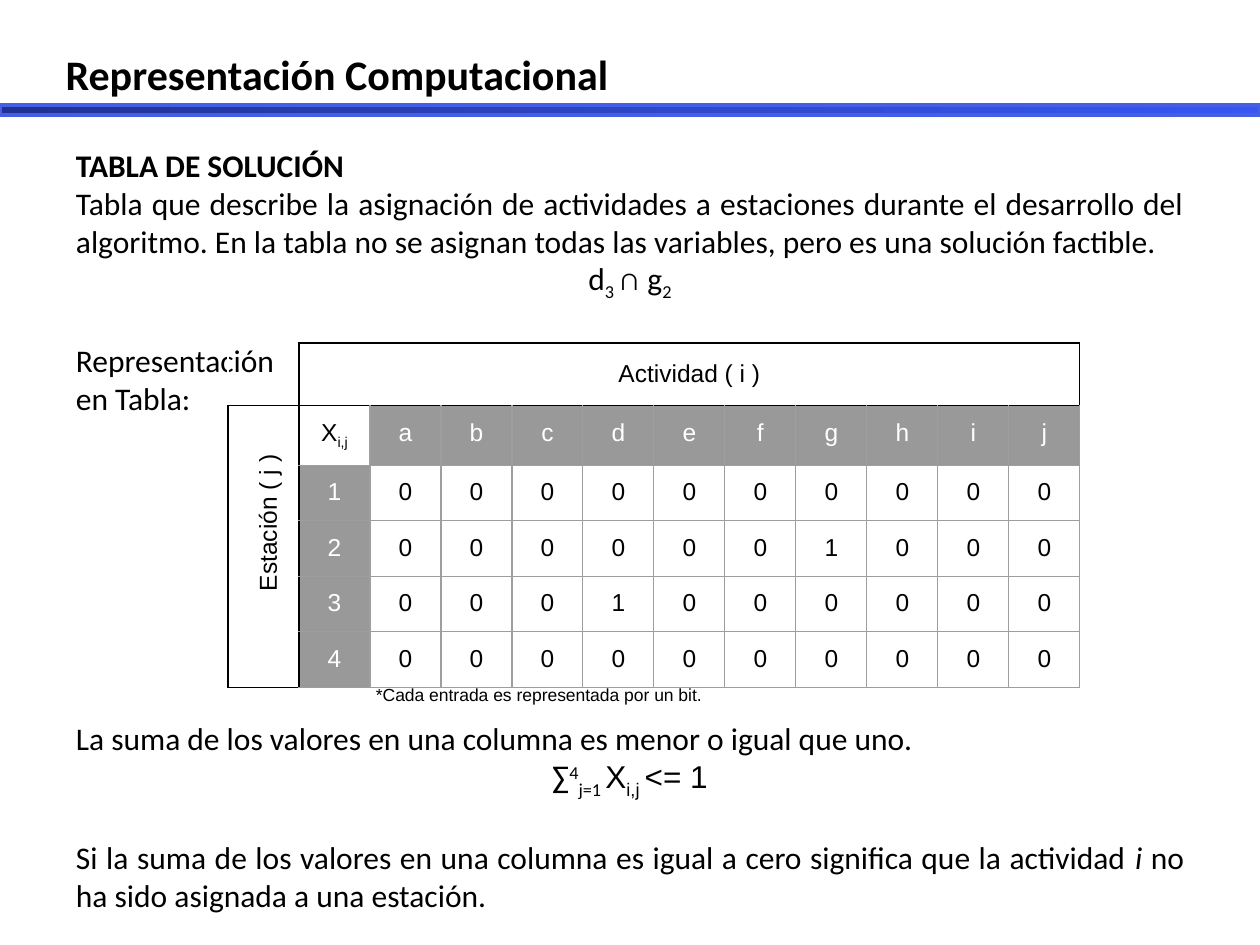
from copy import deepcopy

from lxml.etree import SubElement
from pptx import Presentation
from pptx.dml.color import RGBColor
from pptx.enum.shapes import MSO_SHAPE as Shape
from pptx.enum.text import MSO_ANCHOR as Anchor, MSO_AUTO_SIZE as AutoSize, PP_ALIGN as Align
from pptx.oxml.ns import qn
from pptx.util import Pt

PX = 7257
BLACK, WHITE, GRAY, GRID = "000000", "FFFFFF", "999999", "9E9E9E"
color = RGBColor.from_string


def write(paragraph, text, size=18, font="Calibri", fill=BLACK, bold=False, italic=False, baseline=0, align=Align.LEFT):
    paragraph.alignment = align
    run = paragraph.add_run()
    run.text = text
    run.font.size = Pt(size)
    run.font.name = font
    run.font.bold = bold
    run.font.italic = italic
    run.font.color.rgb = color(fill)
    if baseline:
        run.font._element.set("baseline", str(baseline * 1000))


def add_box(left, top, width, height, margin):
    box = slide.shapes.add_textbox(left * PX, top * PX, width * PX, height * PX)
    frame = box.text_frame
    frame.word_wrap = True
    frame.margin_left = frame.margin_right = 13 * PX
    frame.margin_top = frame.margin_bottom = margin * PX
    return box


presentation = Presentation()
presentation.slide_width = 1260 * PX
presentation.slide_height = 945 * PX
slide = presentation.slides.add_slide(presentation.slide_layouts[5])

title = slide.shapes.title
title.left, title.top, title.width, title.height = 53 * PX, 42 * PX, 1124 * PX, 63 * PX
title.text_frame.auto_size = AutoSize.NONE
title.text_frame.vertical_anchor = Anchor.TOP
write(title.text_frame.paragraphs[0], "Representación Computacional", size=24, bold=True, align=Align.JUSTIFY)

body = [
    (Align.JUSTIFY, 0, [("TABLA DE SOLUCIÓN", {"bold": True})]),
    (Align.JUSTIFY, 0, [(
        "Tabla que describe la asignación de actividades a estaciones durante el desarrollo del algoritmo. "
        "En la tabla no se asignan todas las variables, pero es una solución factible.", {})]),
    (Align.CENTER, 0, [("d", {}), ("3 ", {"baseline": -25}), ("∩ g", {}), ("2", {"baseline": -25})]),
    (Align.JUSTIFY, 22, [("Representación", {})]),
    (Align.JUSTIFY, 0, [("en Tabla:", {})]),
    (Align.JUSTIFY, 173, [("La suma de los valores en una columna es menor o igual que uno.", {})]),
    (Align.CENTER, 0, [
        ("∑", {}), ("4", {"baseline": 30}), ("j=1 ", {"baseline": -25}), ("X", {"font": "Arial"}),
        ("i,j ", {"font": "Arial", "baseline": -25}), ("<= 1", {"font": "Arial"})]),
    (Align.JUSTIFY, 22, [
        ("Si la suma de los valores en una columna es igual a cero significa que la actividad ", {}),
        ("i", {"italic": True}), (" no ha sido asignada a una estación.", {})]),
]
body_frame = add_box(63, 140, 1134, 740, 6).text_frame
for index, (align, gap, runs) in enumerate(body):
    paragraph = body_frame.add_paragraph() if index else body_frame.paragraphs[0]
    paragraph.space_before = Pt(gap)
    for text, style in runs:
        write(paragraph, text, align=align, **style)

bar = slide.shapes.add_shape(Shape.RECTANGLE, 0, 105 * PX, 1260 * PX, 10 * PX)
bar.shadow.inherit = False
bar.fill.gradient()
bar.fill.gradient_angle = 0
last_stop = bar.fill.gradient_stops[1]._gs
last_stop.addprevious(deepcopy(last_stop))
for stop, (position, shade) in zip(bar.fill.gradient_stops, [(0, "1F3291"), (0.54, "2D48CA"), (1, "3756F2")]):
    stop.position = position
    stop.color.rgb = color(shade)
bar.line.color.rgb = color("445FE6")
bar.line.width = Pt(2)

activities = "abcdefghij"
assigned = {("g", 2), ("d", 3)}
rows, columns = 6, len(activities) + 2
table = slide.shapes.add_table(rows, columns, 228 * PX, 343 * PX, columns * 71 * PX, 323 * PX).table
table.first_row = table.horz_banding = False
for column in table.columns:
    column.width = 71 * PX
for row, height in zip(table.rows, [63] + [52] * 5):
    row.height = height * PX
table.cell(0, 1).merge(table.cell(0, columns - 1))
table.cell(1, 0).merge(table.cell(rows - 1, 0))

for row in range(rows):
    for column in range(columns):
        cell = table.cell(row, column)
        outer = row == 0 or column == 0
        corner = row == column == 0
        header = not outer and (row == 1) != (column == 1)
        properties = cell._tc.get_or_add_tcPr()
        for side in ("R", "B") if corner else ("L", "R", "T", "B"):
            dark = outer or (side == "L" and column == 1) or (side == "T" and row == 1)
            line = SubElement(properties, qn(f"a:ln{side}"), w="9525")
            solid = SubElement(line, qn("a:solidFill"))
            SubElement(solid, qn("a:srgbClr"), val=BLACK if dark else GRID)
        if corner:
            cell.fill.background()
        else:
            cell.fill.solid()
            cell.fill.fore_color.rgb = color(GRAY if header else WHITE)
        if outer:
            continue
        cell.margin_left = cell.margin_right = cell.margin_top = cell.margin_bottom = 13 * PX
        paragraph = cell.text_frame.paragraphs[0]
        style = {"size": 14, "font": "Arial", "align": Align.CENTER, "fill": WHITE if header else BLACK}
        if row == column == 1:
            write(paragraph, "X", **style)
            write(paragraph, "i,j", baseline=-25, **style)
        elif row == 1:
            write(paragraph, activities[column - 2], **style)
        elif column == 1:
            write(paragraph, str(row - 1), **style)
        else:
            write(paragraph, str(int((activities[column - 2], row - 1) in assigned)), **style)

heading = table.cell(0, 1)
heading.vertical_anchor = Anchor.MIDDLE
write(heading.text_frame.paragraphs[0], "Actividad ( i )", size=14, font="Arial", align=Align.CENTER)

station = add_box(131, 498, 267, 50, 13)
station.rotation = 270
write(station.text_frame.paragraphs[0], "Estación ( j )", size=14, font="Arial", align=Align.CENTER)

footnote = add_box(363, 673, 706, 52, 13)
write(footnote.text_frame.paragraphs[0], "*Cada entrada es representada por un bit.", size=10, font="Arial")

presentation.save("out.pptx")
